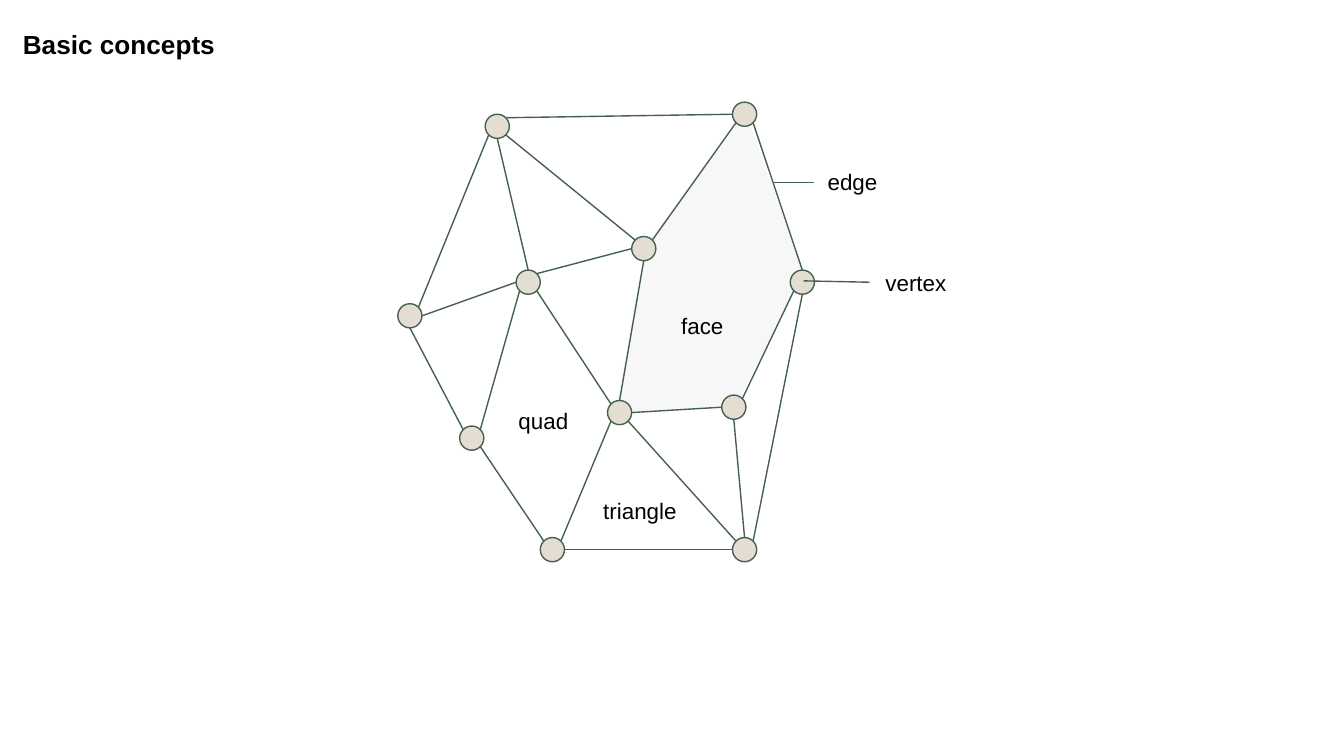
from lxml.etree import SubElement
from pptx import Presentation
from pptx.dml.color import RGBColor
from pptx.enum.shapes import MSO_CONNECTOR, MSO_SHAPE
from pptx.enum.text import MSO_ANCHOR, MSO_AUTO_SIZE, PP_ALIGN
from pptx.oxml.ns import qn
from pptx.util import Inches, Pt

COLORS = {"text": "000000", "line": "455F51", "vertex": "E3DED1", "face": "F3F3F3"}
FONT = "Arial"
DIAMETER = 0.18
RADIUS = DIAMETER / 2
DIAGONAL = RADIUS * 0.5 ** 0.5

# Offsets from a vertex centre to the points where edges touch its circle
SITES = {
    "N": (0, -RADIUS), "S": (0, RADIUS), "W": (-RADIUS, 0), "E": (RADIUS, 0),
    "NW": (-DIAGONAL, -DIAGONAL), "NE": (DIAGONAL, -DIAGONAL),
    "SW": (-DIAGONAL, DIAGONAL), "SE": (DIAGONAL, DIAGONAL),
}

VERTICES = {
    "top left": (3.7, 0.94), "top right": (5.54, 0.85), "right": (5.97, 2.1),
    "centre": (4.79, 1.85), "inner left": (3.93, 2.1), "left": (3.05, 2.35),
    "lower left": (3.51, 3.26), "bottom left": (4.11, 4.09),
    "hub": (4.61, 3.07), "inner right": (5.46, 3.03), "bottom right": (5.54, 4.09),
}

EDGES = [
    ("top left", "SE", "centre", "NW"),
    ("top left", "NE", "top right", "W"),
    ("top right", "SE", "right", "N"),
    ("right", "SW", "inner right", "NE"),
    ("right", "S", "bottom right", "NE"),
    ("inner right", "S", "bottom right", "N"),
    ("inner right", "W", "hub", "E"),
    ("hub", "SW", "bottom left", "NE"),
    ("bottom left", "E", "bottom right", "W"),
    ("hub", "SE", "bottom right", "NW"),
    ("top left", "SW", "left", "NE"),
    ("top left", "S", "inner left", "N"),
    ("centre", "W", "inner left", "NE"),
    ("left", "S", "lower left", "NW"),
    ("lower left", "SE", "bottom left", "NW"),
    ("inner left", "SW", "lower left", "NE"),
    ("left", "E", "inner left", "W"),
    ("inner left", "SE", "hub", "NW"),
    ("centre", "S", "hub", "N"),
    ("top right", "SW", "centre", "NE"),
]

FACE = [(5.55, 0.85), (4.8, 1.83), (4.58, 3.07), (5.47, 3.03), (5.98, 2.02)]
LABELS = [
    ("vertex", 6.49, 1.9), ("face", 4.97, 2.22), ("edge", 6.06, 1.15),
    ("quad", 3.76, 2.93), ("triangle", 4.39, 3.6),
]
POINTERS = [((5.76, 1.36), (6.06, 1.36)), ((5.98, 2.09), (6.47, 2.1))]


class MeshSlide:
    def __init__(self, presentation):
        self.slide = presentation.slides.add_slide(presentation.slide_layouts[5])
        self.shapes = self.slide.shapes

    def color(self, name):
        return RGBColor.from_string(COLORS[name])

    def format_text(self, frame, text, size, bold=False):
        frame.word_wrap = True
        frame.vertical_anchor = MSO_ANCHOR.TOP
        frame.margin_left = frame.margin_right = Inches(0.1)
        frame.margin_top = frame.margin_bottom = Inches(0.1)
        paragraph = frame.paragraphs[0]
        paragraph.text = text
        paragraph.alignment = PP_ALIGN.LEFT
        paragraph.font.name = FONT
        paragraph.font.size = Pt(size)
        paragraph.font.bold = bold
        paragraph.font.color.rgb = self.color("text")
        return paragraph

    def title(self, text, left, top, width, height):
        shape = self.shapes.title
        shape.left, shape.top = Inches(left), Inches(top)
        shape.width, shape.height = Inches(width), Inches(height)
        paragraph = self.format_text(shape.text_frame, text, 14, bold=True)
        paragraph.line_spacing = 1.15
        paragraph.space_after = Pt(16)
        shape.text_frame.auto_size = MSO_AUTO_SIZE.NONE

    def label(self, text, left, top):
        shape = self.shapes.add_textbox(Inches(left), Inches(top), Inches(2.36), Inches(0.4))
        self.format_text(shape.text_frame, text, 12)
        shape.text_frame.auto_size = MSO_AUTO_SIZE.SHAPE_TO_FIT_TEXT

    def face(self, shapes, points):
        corners = [(Inches(x), Inches(y)) for x, y in points]
        builder = shapes.build_freeform(*corners[0])
        builder.add_line_segments(corners[1:], close=True)
        shape = builder.convert_to_shape()
        shape.shadow.inherit = False
        shape.fill.solid()
        shape.fill.fore_color.rgb = self.color("face")
        fill_color = shape._element.spPr.find(qn("a:solidFill"))[0]
        SubElement(fill_color, qn("a:alpha"), val="59000")
        shape.line.fill.background()

    def vertex(self, shapes, x, y):
        shape = shapes.add_shape(MSO_SHAPE.OVAL, Inches(x - RADIUS), Inches(y - RADIUS),
                                 Inches(DIAMETER), Inches(DIAMETER))
        shape.shadow.inherit = False
        shape.fill.solid()
        shape.fill.fore_color.rgb = self.color("vertex")
        self.format_line(shape.line)

    def format_line(self, line):
        line.color.rgb = self.color("line")
        line.width = Pt(0.75)

    def line(self, shapes, start, end):
        connector = shapes.add_connector(
            MSO_CONNECTOR.STRAIGHT, *(Inches(value) for value in (*start, *end)))
        self.format_line(connector.line)
        SubElement(connector._element.spPr, qn("a:effectLst"))

    def mesh(self):
        shapes = self.shapes.add_group_shape().shapes
        self.face(shapes, FACE)
        for x, y in VERTICES.values():
            self.vertex(shapes, x, y)
        for start, start_site, end, end_site in EDGES:
            self.line(shapes, site_point(start, start_site), site_point(end, end_site))


def site_point(vertex, site):
    x, y = VERTICES[vertex]
    dx, dy = SITES[site]
    return x + dx, y + dy


def main():
    presentation = Presentation()
    presentation.slide_width = Inches(10)
    presentation.slide_height = presentation.slide_width * 9 // 16
    slide = MeshSlide(presentation)
    slide.title("Basic concepts", 0.07, 0.08, 8.98, 0.66)
    slide.mesh()
    for text, left, top in LABELS:
        slide.label(text, left, top)
    for start, end in POINTERS:
        slide.line(slide.shapes, start, end)
    presentation.save("out.pptx")


if __name__ == "__main__":
    main()
